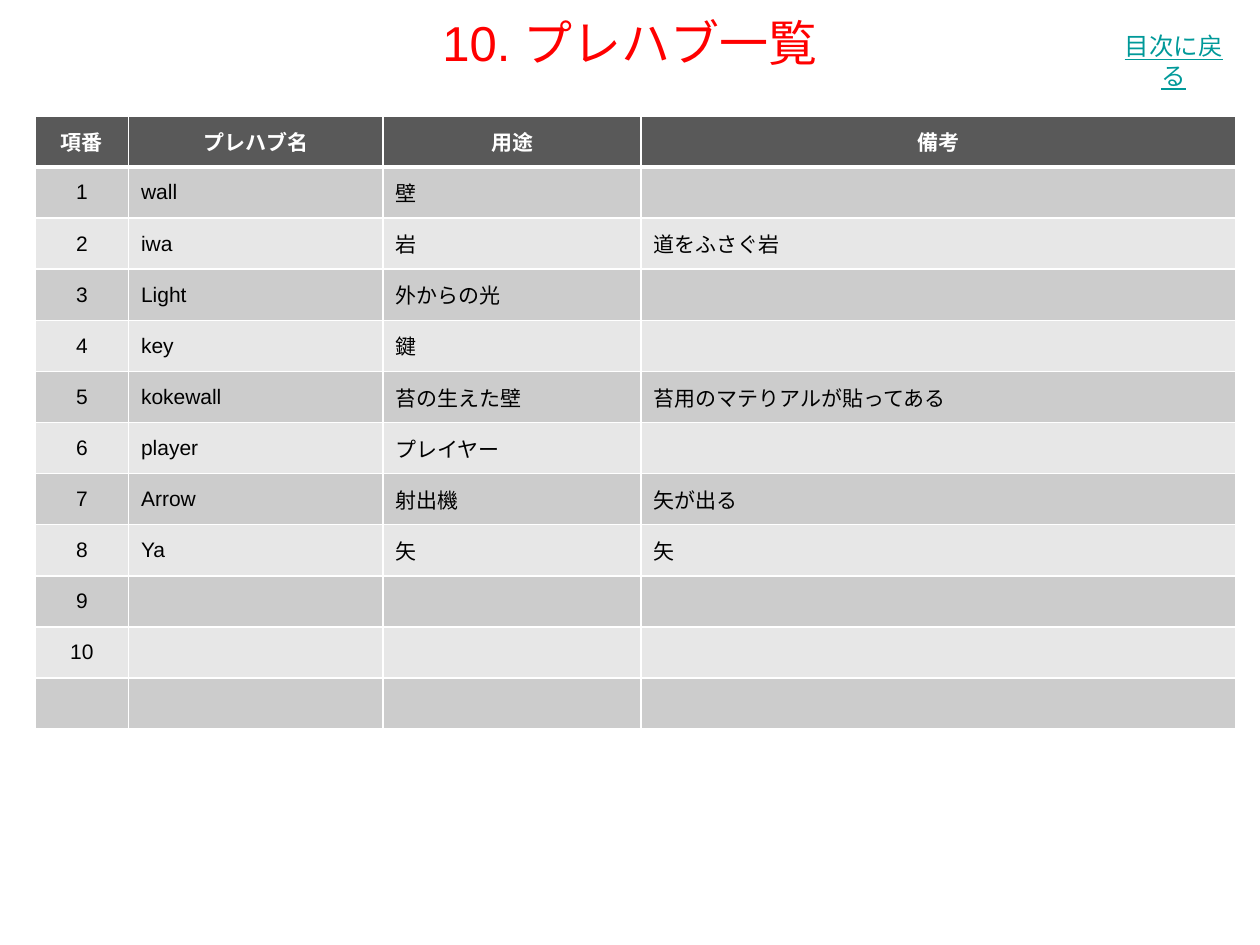
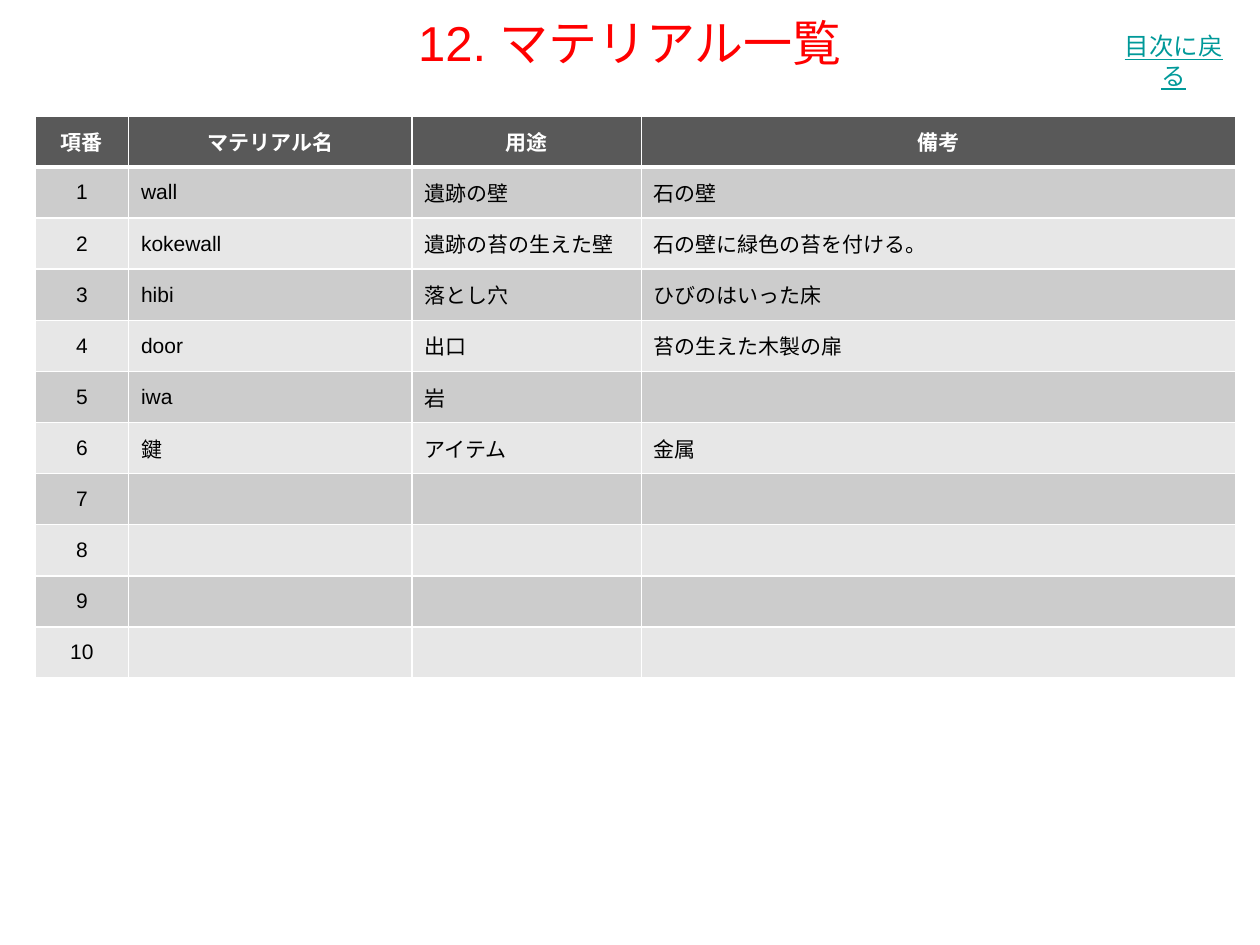
from lxml.etree import SubElement
from pptx import Presentation
from pptx.dml.color import RGBColor
from pptx.enum.text import MSO_ANCHOR, MSO_AUTO_SIZE, PP_ALIGN
from pptx.oxml.ns import qn
from pptx.util import Inches, Pt

WIDTH, HEIGHT = Inches(10), Inches(7.5)
WHITE, HEAD, BANDS = "FFFFFF", "595959", ("CCCCCC", "E7E7E7")
TITLE = {"size": Pt(28), "name": "Arial", "color": "FF0000"}
LINK = {"size": Pt(14), "name": "Arial", "color": "009999", "underline": True}
HEADER = {"size": Pt(12), "name": "Arial", "color": WHITE, "bold": True}
BODY = {"size": Pt(12), "name": "Arial", "color": "000000", "bold": False}
ROW_HEIGHT = Inches(4.87 / 12)

LISTS = [
    {
        "title": "10. プレハブ一覧",
        "columns": (0.74, 2.02, 2.05, 4.72),
        "header": ("項番", "プレハブ名", "用途", "備考"),
        "items": [
            ("wall", "壁"),
            ("iwa", "岩", "道をふさぐ岩"),
            ("Light", "外からの光"),
            ("key", "鍵"),
            ("kokewall", "苔の生えた壁", "苔用のマテりアルが貼ってある"),
            ("player", "プレイヤー"),
            ("Arrow", "射出機", "矢が出る"),
            ("Ya", "矢", "矢"),
        ],
        "spare_rows": 1,
    },
    {
        "title": "12. マテリアル一覧",
        "columns": (0.74, 2.25, 1.82, 4.72),
        "header": ("項番", "マテリアル名", "用途", "備考"),
        "items": [
            ("wall", "遺跡の壁", "石の壁"),
            ("kokewall", "遺跡の苔の生えた壁", "石の壁に緑色の苔を付ける。"),
            ("hibi", "落とし穴", "ひびのはいった床"),
            ("door", "出口", "苔の生えた木製の扉"),
            ("iwa", "岩"),
            ("鍵", "アイテム", "金属"),
        ],
        "spare_rows": 0,
    },
]


def rgb(value):
    """Turn a hex string into a colour."""
    return RGBColor.from_string(value)


def write(tf, text, style, align):
    """Put one formatted run into a text frame."""
    p = tf.paragraphs[0]
    p.alignment = align
    r = p.add_run()
    r.text = text
    for key, value in style.items():
        if key == "color":
            r.font.color.rgb = rgb(value)
        else:
            setattr(r.font, key, value)


def add_title(slide, text):
    """Fill the title placeholder across the top of the slide."""
    sp = slide.shapes.title
    box = {"left": 0, "top": Inches(-0.02), "width": WIDTH, "height": Inches(0.7)}
    for key, value in box.items():
        setattr(sp, key, value)
    tf = sp.text_frame
    tf.vertical_anchor = MSO_ANCHOR.MIDDLE
    tf.auto_size = MSO_AUTO_SIZE.NONE
    write(tf, text, TITLE, PP_ALIGN.CENTER)


def add_return_label(slide):
    """Add the underlined contents label at the top right."""
    sp = slide.shapes.add_textbox(Inches(8.74), Inches(0.2), Inches(1.15), Inches(0.34))
    sp.text_frame.word_wrap = True
    write(sp.text_frame, "目次に戻る", LINK, PP_ALIGN.CENTER)


def set_borders(cell, top, bottom):
    """Draw white cell edges, with the given top and bottom widths in points."""
    tc_pr = cell._tc.get_or_add_tcPr()
    for side, width in {"L": 1, "R": 1, "T": top, "B": bottom}.items():
        ln = SubElement(tc_pr, qn(f"a:ln{side}"), w=str(Pt(width)))
        fill = SubElement(ln, qn("a:solidFill"))
        SubElement(fill, qn("a:srgbClr"), val=WHITE)


def format_cell(cell, row, col, text):
    """Fill, border and write one cell according to its place."""
    set_borders(cell, 3 if row == 1 else 1, 3 if row == 0 else 1)
    cell.fill.solid()
    cell.fill.fore_color.rgb = rgb(BANDS[(row - 1) % 2] if row else HEAD)
    cell.vertical_anchor = MSO_ANCHOR.MIDDLE
    if text:
        centred = row == 0 or col == 0
        align = PP_ALIGN.CENTER if centred else PP_ALIGN.LEFT
        write(cell.text_frame, text, BODY if row else HEADER, align)


def table_rows(content):
    """Number ten items and pad every row to four cells."""
    items = content["items"] + [()] * (10 - len(content["items"]))
    rows = [content["header"]]
    rows += [(str(n), *item) for n, item in enumerate(items, 1)]
    rows += [()] * content["spare_rows"]
    return [(*row, *[""] * (4 - len(row))) for row in rows]


def add_list_table(slide, content):
    """Add the banded list table."""
    rows, columns = table_rows(content), content["columns"]
    frame = slide.shapes.add_table(
        len(rows), len(columns), Inches(0.28), Inches(0.92),
        Inches(sum(columns)), ROW_HEIGHT * len(rows))
    table = frame.table
    for column, width in zip(table.columns, columns):
        column.width = Inches(width)
    for i, row in enumerate(rows):
        table.rows[i].height = ROW_HEIGHT
        for j, text in enumerate(row):
            format_cell(table.cell(i, j), i, j, text)


def main():
    """Build one slide for each list."""
    prs = Presentation()
    prs.slide_width, prs.slide_height = WIDTH, HEIGHT
    for content in LISTS:
        slide = prs.slides.add_slide(prs.slide_layouts[5])
        add_title(slide, content["title"])
        add_return_label(slide)
        add_list_table(slide, content)
    prs.save("out.pptx")


if __name__ == "__main__":
    main()
